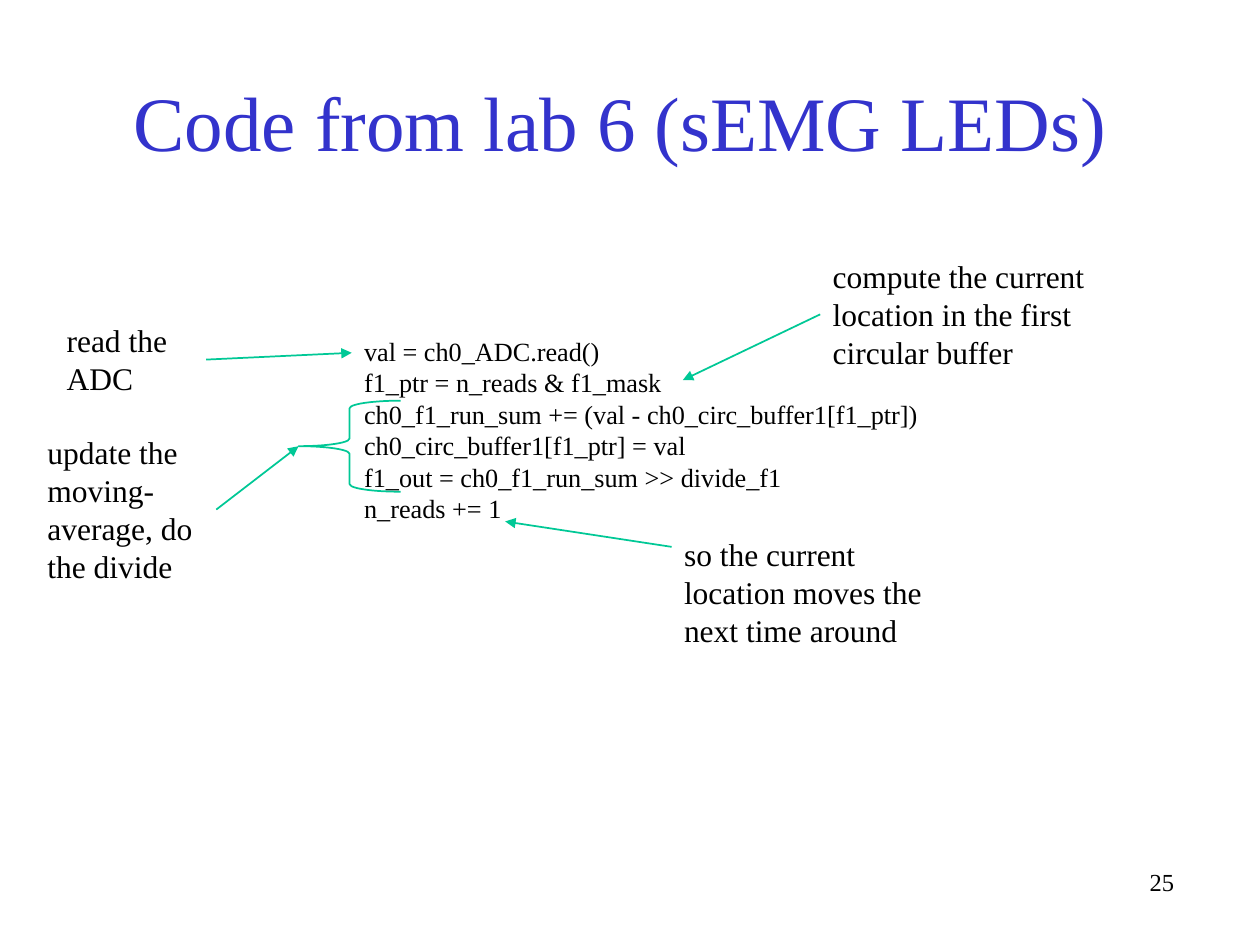
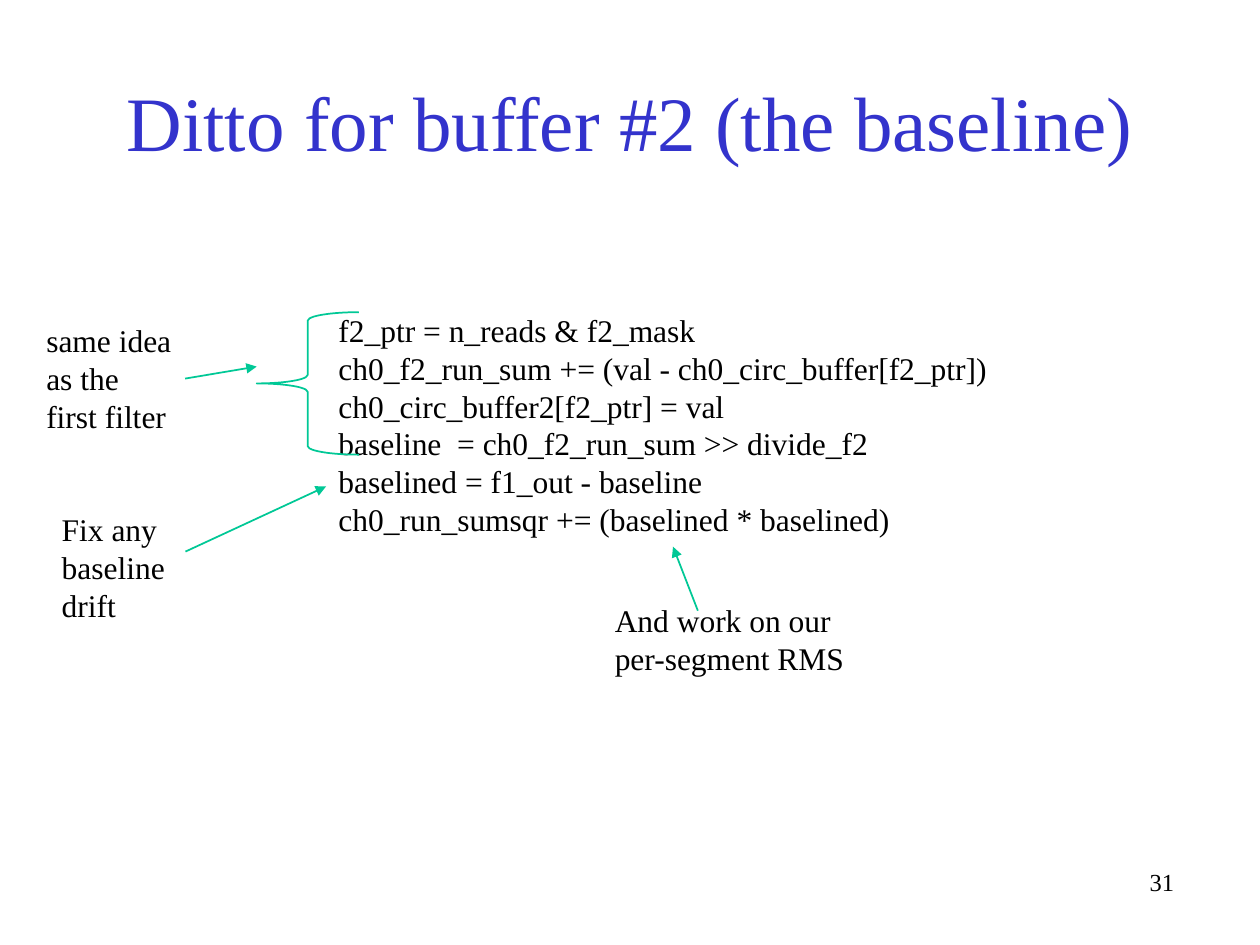
from lxml import etree
from pptx import Presentation
from pptx.dml.color import RGBColor
from pptx.enum import shapes, text
from pptx.oxml.ns import qn
from pptx.util import Pt

BLUE, GREEN, BLACK = "3333CC", "00C896", "000000"
FONT = "Times New Roman"
LEFT, RIGHT = 1, 3


def ink(code):
    return RGBColor.from_string(code)


def write(box, lines, size=18, color=BLACK, align=text.PP_ALIGN.LEFT,
          anchor=text.MSO_ANCHOR.TOP, fit=text.MSO_AUTO_SIZE.SHAPE_TO_FIT_TEXT):
    frame = box.text_frame
    frame.word_wrap = True
    frame.auto_size = fit
    frame.vertical_anchor = anchor
    frame.text = lines
    for para in frame.paragraphs:
        para.alignment = align
        para.font.size = Pt(size)
        para.font.name = FONT
        para.font.color.rgb = ink(color)


pages = [
    dict(
        title="Code from lab 6 (sEMG LEDs) ",
        number="25",
        code="val = ch0_ADC.read()\n"
             "f1_ptr = n_reads & f1_mask\n"
             "ch0_f1_run_sum += (val - ch0_circ_buffer1[f1_ptr])\n"
             "ch0_circ_buffer1[f1_ptr] = val\n"
             "f1_out = ch0_f1_run_sum >> divide_f1\n"
             "n_reads += 1",
        size=15,
        place=(201, 188, 335, 116.6),
        brace=(170.6, 229, 58.3, 52),
        notes=[
            ("read the ADC", (31, 180, 86.8, 51), RIGHT, (201, 201.6)),
            ("compute the current location in the first circular buffer",
             (468.7, 143.3, 176.4, 72.7), LEFT, (390.2, 217.2)),
            ("update the moving-average, do the divide",
             (20, 244, 103.6, 94.4), RIGHT, "brace"),
            ("so the current location moves the next time around",
             (383.8, 302.4, 172, 72.7), (383.8, 312.5), (288.7, 298)),
        ],
    ),
    dict(
        title="Ditto for buffer #2 (the baseline)",
        number="31",
        code="f2_ptr = n_reads & f2_mask\n"
             "ch0_f2_run_sum += (val - ch0_circ_buffer[f2_ptr])\n"
             "ch0_circ_buffer2[f2_ptr] = val\n"
             "baseline  = ch0_f2_run_sum >> divide_f2\n"
             "baselined = f1_out - baseline\n"
             "ch0_run_sumsqr += (baselined * baselined)",
        size=18,
        place=(186.3, 174.2, 422, 138.2),
        brace=(146.7, 178.4, 58.3, 81.4),
        notes=[
            ("same idea as the first filter", (19.4, 180, 86.4, 72.7),
             RIGHT, (146.7, 209.5)),
            ("Fix any baseline drift", (28.2, 288, 86.4, 72.7),
             (106, 315.2), (186.3, 278)),
            ("And work on our per-segment RMS", (344.2, 339.8, 149.8, 51),
             (398.8, 349), (384.6, 312.4)),
        ],
    ),
]

deck = Presentation()
deck.slide_width, deck.slide_height = Pt(720), Pt(540)

for page in pages:
    slide = deck.slides.add_slide(deck.slide_layouts[5])
    parts = slide.shapes

    title = parts.title
    title.left, title.top, title.width, title.height = map(Pt, (54, 24, 612, 90))
    write(title, page["title"], size=44, color=BLUE, align=text.PP_ALIGN.CENTER,
          anchor=text.MSO_ANCHOR.MIDDLE, fit=text.MSO_AUTO_SIZE.NONE)

    number = parts.add_textbox(*map(Pt, (450, 492, 228, 36)))
    write(number, page["number"], size=14, align=text.PP_ALIGN.RIGHT,
          fit=text.MSO_AUTO_SIZE.NONE)

    code = parts.add_textbox(*map(Pt, page["place"]))
    write(code, page["code"], size=page["size"])

    brace = parts.add_shape(shapes.MSO_SHAPE.LEFT_BRACE, *map(Pt, page["brace"]))
    brace.shadow.inherit = False
    brace.fill.background()
    brace.line.color.rgb = ink(GREEN)
    brace.line.width = Pt(1)

    for words, place, start, end in page["notes"]:
        note = parts.add_textbox(*map(Pt, place))
        write(note, words)

        tail = start if isinstance(start, tuple) else (0, 0)
        head = end if isinstance(end, tuple) else (0, 0)
        arrow = parts.add_connector(shapes.MSO_CONNECTOR.STRAIGHT,
                                    *map(Pt, tail + head))
        if start in (LEFT, RIGHT):
            arrow.begin_connect(note, start)
        if end == "brace":
            arrow.end_connect(brace, LEFT)
        arrow.line.color.rgb = ink(GREEN)
        arrow.line.width = Pt(1)
        etree.SubElement(arrow.line._get_or_add_ln(), qn("a:tailEnd"),
                         type="triangle")
        etree.SubElement(arrow._element.spPr, qn("a:effectLst"))

deck.save("out.pptx")
